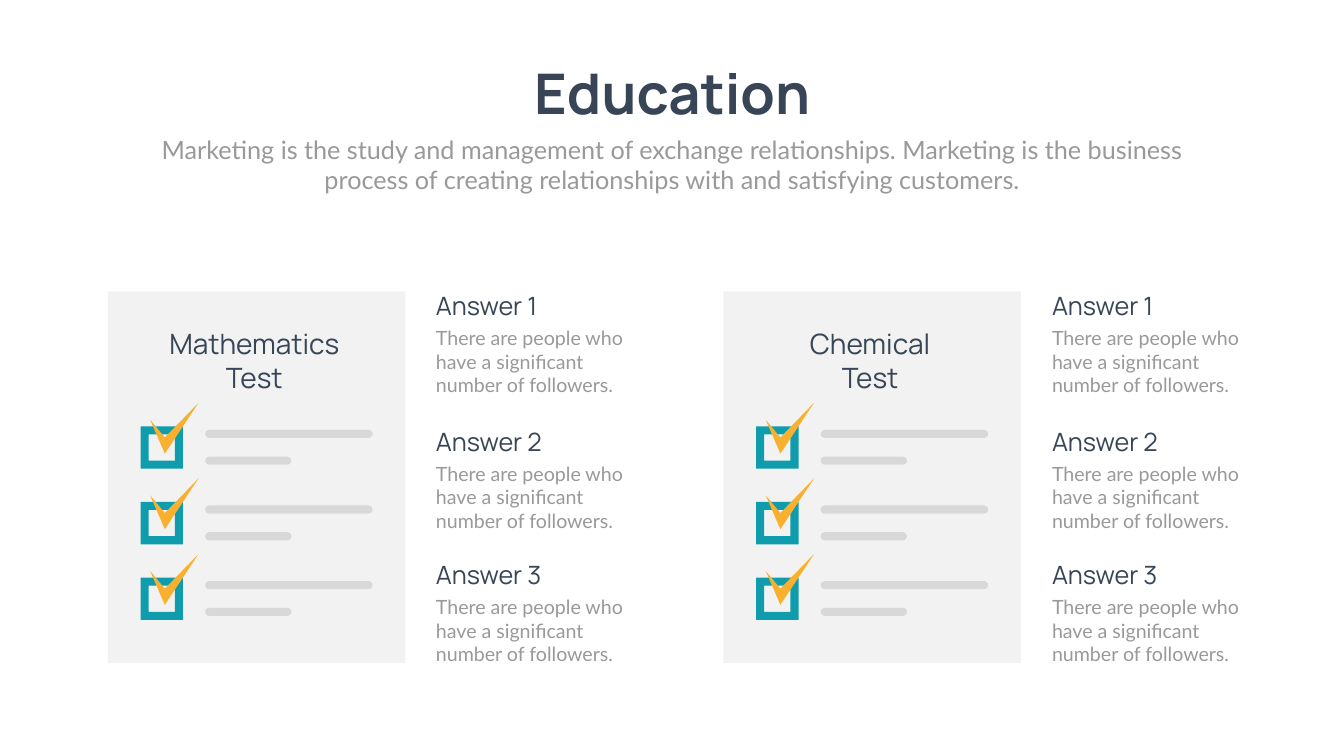
from pptx import Presentation
from pptx.dml.color import RGBColor
from pptx.enum.shapes import MSO_SHAPE
from pptx.enum.text import PP_ALIGN
from pptx.util import Pt

PX = 9144
RECTANGLE = MSO_SHAPE.RECTANGLE
ROUNDED = MSO_SHAPE.ROUNDED_RECTANGLE
FRAME = MSO_SHAPE.FRAME
LEFT = PP_ALIGN.LEFT
CENTER = PP_ALIGN.CENTER

COLORS = {
    "background": "FEFFFE",
    "heading": "374556",
    "body": "999999",
    "card": "F2F2F2",
    "bar": "D8D8D8",
    "box": "0F9DAD",
    "tick": "FAB02F",
}
HEADING_FONT = "Manrope"
BODY_FONT = "Lato"

INTRO = (
    "Marketing is the study and management of exchange relationships. "
    "Marketing is the business process of creating relationships with "
    "and satisfying customers."
)
ANSWER_TEXT = "There are people who have a significant number of followers."
ANSWER_TOPS = (571, 840, 1105)
TESTS = (
    {"title": "Mathematics Test", "left": 214, "title_width": 471, "answer_left": 855},
    {"title": "Chemical Test", "left": 1435, "title_width": 350, "answer_left": 2077},
)
CARD_TOP, CARD_WIDTH, CARD_HEIGHT = 578, 590, 738
ROW_TOP, ROW_PITCH, ROW_COUNT = 846, 150, 3
TICK_POINTS = ((113, 22), (84, -13), (113, 54), (180, -47))


def rgb(name):
    """Return the palette colour with the given name."""
    return RGBColor.from_string(COLORS[name])


def add_text(shapes, text, left, top, width, height, *, size, color="heading",
             font=HEADING_FONT, bold=False, align=LEFT):
    """Add a wrapped text box holding one formatted paragraph."""
    box = shapes.add_textbox(left * PX, top * PX, width * PX, height * PX)
    box.text_frame.word_wrap = True
    paragraph = box.text_frame.paragraphs[0]
    paragraph.text = text
    paragraph.alignment = align
    paragraph.font.size = Pt(size)
    paragraph.font.name = font
    paragraph.font.bold = bold
    paragraph.font.color.rgb = rgb(color)


def paint(shape, color):
    """Give a shape a flat fill with no line or shadow."""
    shape.shadow.inherit = False
    shape.fill.solid()
    shape.fill.fore_color.rgb = rgb(color)
    shape.line.fill.background()


def add_block(shapes, kind, left, top, width, height, color, adjustment=None):
    """Add a flat preset shape."""
    shape = shapes.add_shape(kind, left * PX, top * PX, width * PX, height * PX)
    if adjustment is not None:
        shape.adjustments[0] = adjustment
    paint(shape, color)


def add_tick(shapes, left, top):
    """Add a pointed tick mark placed relative to its card and row."""
    points = [(left + x, top + y) for x, y in TICK_POINTS]
    builder = shapes.build_freeform(*points[0], scale=PX)
    builder.add_line_segments(points[1:], close=True)
    paint(builder.convert_to_shape(), "tick")


def add_checklist_row(shapes, left, top):
    """Add two text bars and a ticked box."""
    add_block(shapes, ROUNDED, left + 193, top + 7, 332, 16, "bar", 0.5)
    add_block(shapes, ROUNDED, left + 193, top + 60, 171, 16, "bar", 0.5)
    add_block(shapes, FRAME, left + 65, top, 84, 84, "box", 0.19)
    add_tick(shapes, left, top)


def add_test_card(slide, title, left, title_width):
    """Add a test sheet with a centred title and its checklist."""
    shapes = slide.shapes.add_group_shape().shapes
    add_block(shapes, RECTANGLE, left, CARD_TOP, CARD_WIDTH, CARD_HEIGHT, "card")
    for row in range(ROW_COUNT):
        add_checklist_row(shapes, left, ROW_TOP + row * ROW_PITCH)
    title_left = left + (CARD_WIDTH - title_width) // 2 - 4
    add_text(shapes, title, title_left, 643, title_width, 145, size=40, align=CENTER)


def add_answer(slide, number, left, top):
    """Add a numbered answer heading with its description."""
    shapes = slide.shapes.add_group_shape().shapes
    add_text(shapes, f"Answer {number}", left, top, 421, 71, size=36)
    add_text(shapes, ANSWER_TEXT, left, top + 71, 421, 151,
             size=28, font=BODY_FONT, color="body")


def main():
    """Build and save the education slide."""
    presentation = Presentation()
    presentation.slide_width = 2666 * PX
    presentation.slide_height = 1500 * PX
    slide = presentation.slides.add_slide(presentation.slide_layouts[6])
    slide.background.fill.solid()
    slide.background.fill.fore_color.rgb = rgb("background")

    add_text(slide.shapes, "Education", 1032, 112, 603, 145,
             size=80, bold=True, align=CENTER)
    add_text(slide.shapes, INTRO, 292, 261, 2082, 131,
             size=36, font=BODY_FONT, color="body", align=CENTER)
    for test in TESTS:
        add_test_card(slide, test["title"], test["left"], test["title_width"])
        for number, top in enumerate(ANSWER_TOPS, start=1):
            add_answer(slide, number, test["answer_left"], top)

    presentation.save("out.pptx")


if __name__ == "__main__":
    main()
